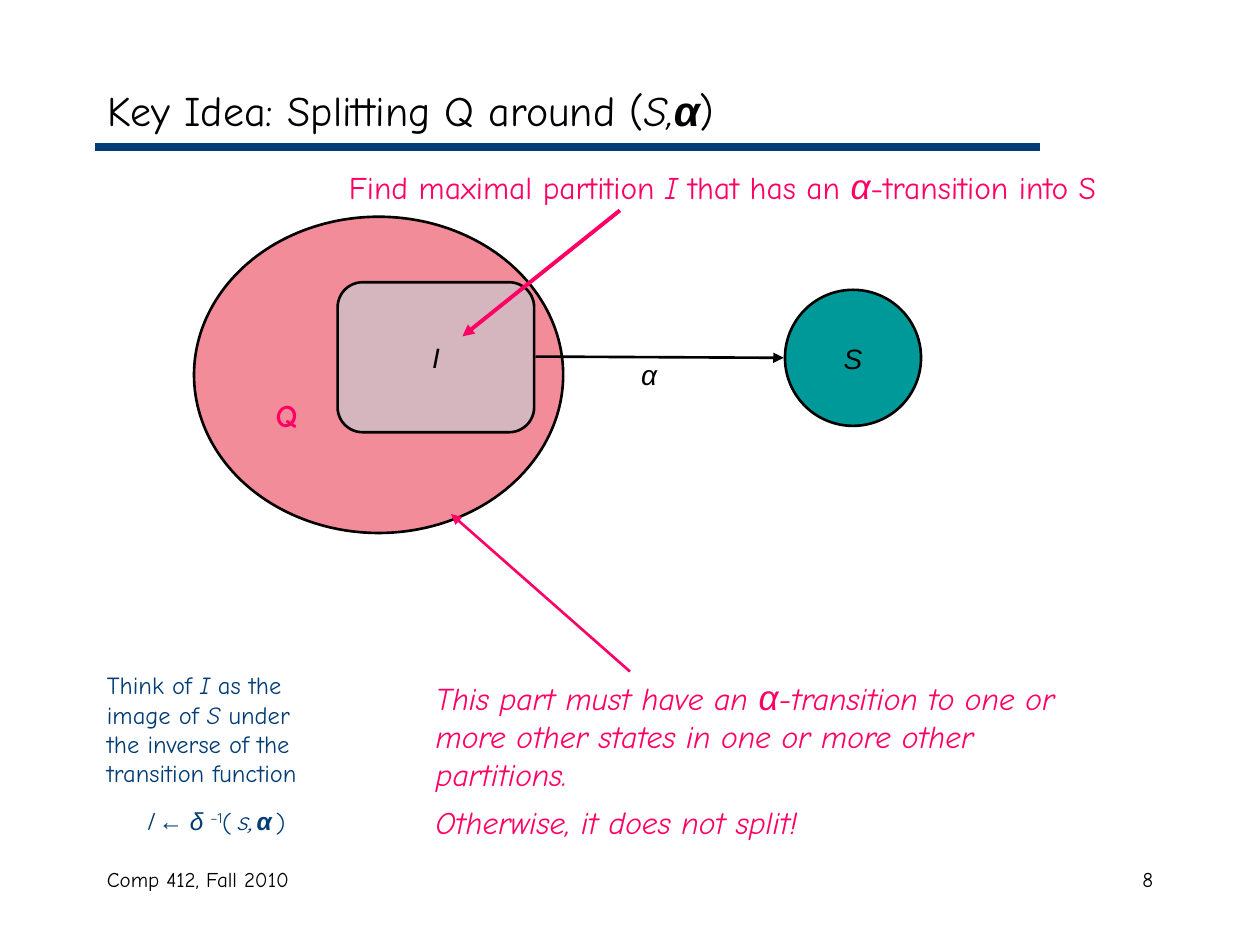
from pptx import Presentation
from pptx.dml.color import RGBColor
from pptx.enum.shapes import MSO_CONNECTOR as CONN, MSO_SHAPE as SHAPE
from pptx.enum.text import MSO_ANCHOR as ANCHOR, MSO_AUTO_SIZE as AUTO, PP_ALIGN as ALIGN
from pptx.oxml.ns import qn
from pptx.util import Inches, Pt
from lxml.etree import SubElement

BLACK = RGBColor(0x00, 0x00, 0x00)
NAVY = RGBColor(0x00, 0x3C, 0x75)
PINK = RGBColor(0xFF, 0x00, 0x65)
ROSE = RGBColor(0xF3, 0x8C, 0x99)
PALE = RGBColor(0xBB, 0xE0, 0xE3)
TEAL = RGBColor(0x00, 0x99, 0x99)

BODY, GREEK, MATH = "Comic Neue", "Arial", "Quicksand"
LEFT = 0.75  # left margin, inches


def write(p, runs, size, color, font=BODY):
    """Fill a paragraph; a run is (text, style letters, font, size), b = bold, i = italic, ^ = raised."""
    for text, style, *rest in runs:
        r = p.add_run()
        r.text = text
        f = r.font
        f.name = rest[0] if rest else font
        f.size = Pt(rest[1] if len(rest) > 1 else size)
        f.bold, f.italic = "b" in style, "i" in style
        f.color.rgb = color
        if "^" in style:
            f._element.set("baseline", "30000")


def add_text(slide, box, paragraphs, size, color, font=BODY, wrap=True, align=ALIGN.LEFT):
    """Add a text box and return its paragraphs."""
    tf = slide.shapes.add_textbox(*map(Inches, box)).text_frame
    tf.word_wrap = wrap
    for i, runs in enumerate(paragraphs):
        p = tf.add_paragraph() if i else tf.paragraphs[0]
        p.alignment = align
        write(p, runs, size, color, font)
    return tf.paragraphs


def add_region(slide, kind, box, fill, label="", alpha=None):
    """Add an outlined state set with an italic label in its middle."""
    sp = slide.shapes.add_shape(kind, *map(Inches, box))
    sp.shadow.inherit = False
    sp.fill.solid()
    sp.fill.fore_color.rgb = fill
    if alpha is not None:
        color = sp._element.spPr.find(qn("a:solidFill"))[0]
        SubElement(color, qn("a:alpha")).set("val", str(alpha * 1000))
    sp.line.color.rgb = BLACK
    sp.line.width = Pt(1.5)
    if label:
        tf = sp.text_frame
        tf.word_wrap = False
        tf.vertical_anchor = ANCHOR.MIDDLE
        tf.paragraphs[0].alignment = ALIGN.CENTER
        write(tf.paragraphs[0], [(label, "i")], 16, BLACK, GREEK)


def add_line(slide, start, end, color, width=1.5, arrow=True):
    line = slide.shapes.add_connector(CONN.STRAIGHT, *map(Inches, start + end))
    line.line.color.rgb = color
    line.line.width = Pt(width)
    if arrow:
        SubElement(line.line._get_or_add_ln(), qn("a:tailEnd")).set("type", "triangle")
    SubElement(line._element.spPr, qn("a:effectLst"))


def add_title(slide):
    title = slide.shapes.title
    title.left, title.top, title.width, title.height = map(Inches, (LEFT, 0.58, 8.5, 0.58))
    tf = title.text_frame
    tf.auto_size = AUTO.NONE
    tf.vertical_anchor = ANCHOR.MIDDLE
    p = tf.paragraphs[0]
    p.alignment = ALIGN.LEFT
    write(p, [("Key Idea: Splitting Q around (", ""), ("S,", "i"),
              ("α", "bi", GREEK), (")", "")], 24, BLACK)


def add_diagram(slide):
    add_region(slide, SHAPE.OVAL, (1.54, 1.72, 2.93, 2.51), ROSE)
    add_region(slide, SHAPE.ROUNDED_RECTANGLE, (2.68, 2.24, 1.56, 1.19), PALE, "I", alpha=50)
    add_region(slide, SHAPE.OVAL, (6.23, 2.3, 1.08, 1.08), TEAL, "S")
    add_line(slide, (4.25, 2.83), (6.22, 2.84), BLACK)
    add_text(slide, (4.99, 2.79, 0.34, 0.37), [[("α", "i")]], 16, BLACK, GREEK, wrap=False)
    add_text(slide, (2.09, 3.09, 0.37, 0.4), [[("Q", "b")]], 18, PINK, wrap=False)


def add_callouts(slide):
    add_text(slide, (2.67, 1.26, 6.67, 0.44), [
        [("Find maximal partition ", ""), ("I ", "i"), ("that has an ", ""),
         ("α", "i", GREEK, 20), ("-transition into S", "")],
    ], 18, PINK)
    add_line(slide, (4.92, 1.67), (3.67, 2.67), PINK, 2.25)

    paragraphs = add_text(slide, (3.36, 5.31, 5.12, 1.41), [
        [("This part must have an ", "i"), ("α", "i", GREEK, 20),
         ("-transition to one or more other states in one or more other partitions.", "i")],
        [("Otherwise, it does not split!", "i")],
    ], 18, PINK)
    paragraphs[1].space_before = Pt(5.6)
    add_line(slide, (5, 5.33), (3.58, 4.08), PINK)


def add_side_note(slide):
    gap = (" ", "i", MATH, 9)
    paragraphs = add_text(slide, (LEFT, 5.27, 1.92, 1.45), [
        [("Think of ", ""), ("I ", "i"), ("as the image of ", ""), ("S", "i"),
         (" under the inverse of the transition function", "")],
        [("I ", "i", MATH), ("← δ ", "i", GREEK), ("–1", "^", MATH), ("(", "", MATH), gap,
         ("s,", "i", MATH), gap, ("α", "bi", GREEK), gap, (")", "", MATH)],
    ], 14, NAVY)
    paragraphs[1].alignment = ALIGN.CENTER
    paragraphs[1].space_before = Pt(10.5)


def main():
    prs = Presentation()
    prs.slide_width, prs.slide_height = Inches(10), Inches(7.5)
    slide = prs.slides.add_slide(prs.slide_layouts[5])

    # Title, rule and footer
    add_line(slide, (LEFT, 1.17), (8.25, 1.17), NAVY, 4.5, arrow=False)
    add_title(slide)
    add_text(slide, (LEFT, 6.83, 3.17, 0.5), [[("Comp 412, Fall 2010", "")]], 12, BLACK)
    add_text(slide, (7.17, 6.83, 2.08, 0.5), [[("8", "")]], 12, BLACK, align=ALIGN.RIGHT)

    # Partition diagram and its explanations
    add_diagram(slide)
    add_callouts(slide)
    add_side_note(slide)

    prs.save("out.pptx")


if __name__ == "__main__":
    main()
